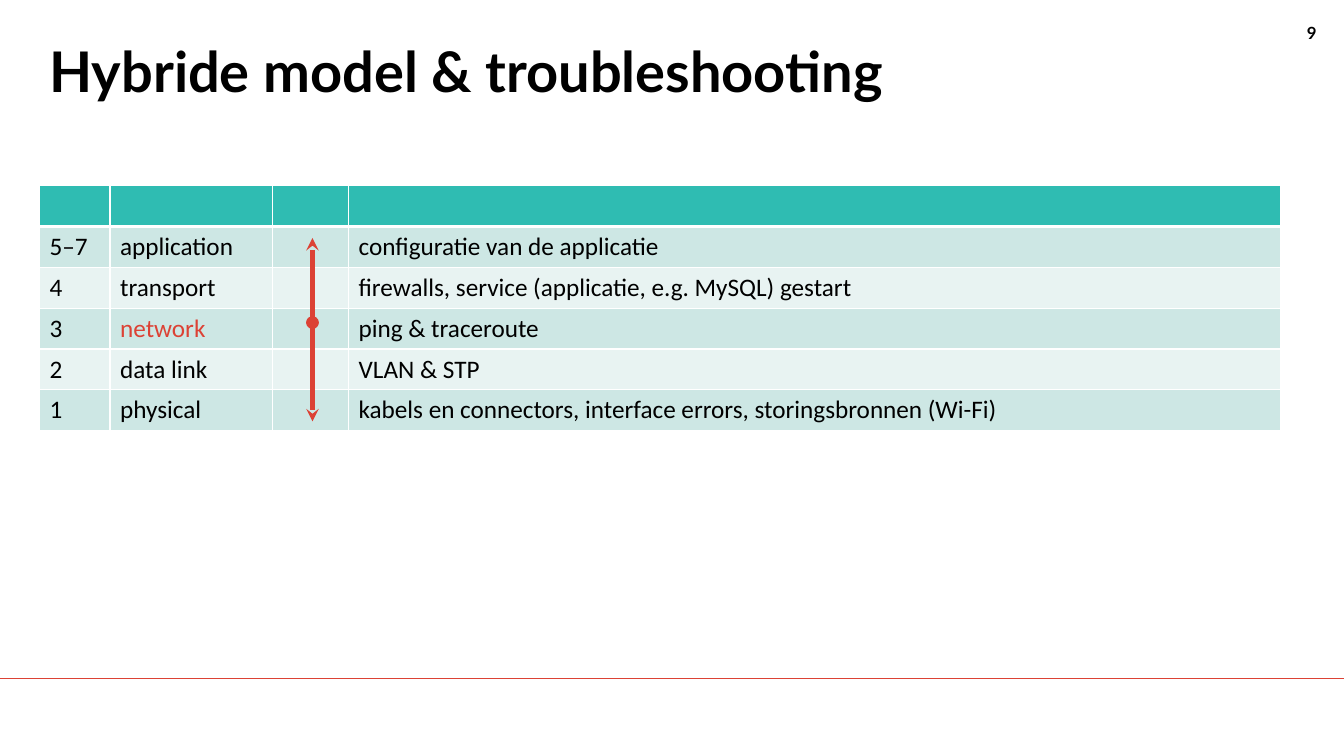
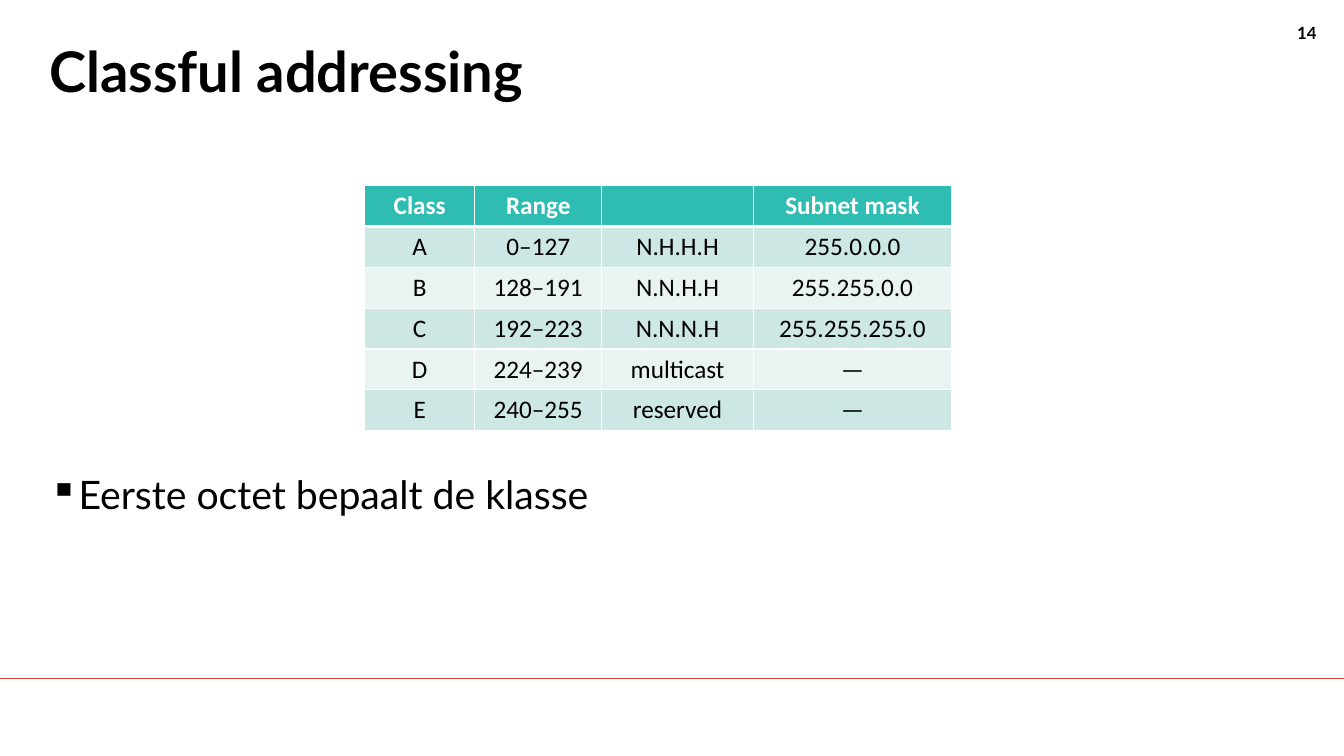
from dataclasses import dataclass

import lxml.etree
import pptx
import pptx.dml.color
import pptx.enum.shapes
import pptx.enum.text
import pptx.oxml.ns
import pptx.slide
import pptx.table
import pptx.text.text
import pptx.util

Pt = pptx.util.Pt
RGB = pptx.dml.color.RGBColor
qn = pptx.oxml.ns.qn
Align = pptx.enum.text.PP_ALIGN


@dataclass(frozen=True)
class Theme:
    black: str = "000000"
    white: str = "FFFFFF"
    red: str = "DC4235"
    teal: str = "2FBCB2"
    bands: tuple[str, str] = ("CDE7E4", "E8F3F2")
    heading_font: str = "Lato"
    table_font: str = "Calibri"
    title_size: float = 40
    bullet_size: float = 28
    table_size: float = 18
    number_size: float = 12


@dataclass(frozen=True)
class TextStyle:
    size: float
    color: str
    font: str = "Lato"
    bold: bool = False


@dataclass(frozen=True)
class Box:
    left: float
    top: float
    width: float
    height: float


@dataclass(frozen=True)
class Grid:
    left: float
    widths: tuple[float, ...]
    rows: tuple[tuple[str, ...], ...]
    align: Align = Align.LEFT
    highlight: str = ""


@dataclass(frozen=True)
class Stroke:
    start: tuple[float, float]
    end: tuple[float, float]
    width: float
    arrow: bool = False


THEME = Theme()
SLIDE_WIDTH, SLIDE_HEIGHT = 960, 540
MARGIN = 28.2
TABLE_TOP = 132.5
ROW_HEIGHT = 29.2
TITLE_BOX = Box(MARGIN, 28.2, 884, 104)
NUMBER_BOX = Box(912, 13, 35.5, 21.6)
BULLET_BOX = Box(MARGIN, 336, 886, 139)
FOOTER_RULE = Stroke((0, 484.6), (SLIDE_WIDTH, 484.6), 0.5)
TITLE_STYLE = TextStyle(THEME.title_size, THEME.black, bold=True)
NUMBER_STYLE = TextStyle(THEME.number_size, THEME.black, bold=True)
BULLET_STYLE = TextStyle(THEME.bullet_size, THEME.black)

LAYERS = Grid(
    MARGIN,
    (50.4, 115.9, 54.5, 665.8),
    (
        ("", "", "", ""),
        ("5–7", "application", "", "configuratie van de applicatie"),
        ("4", "transport", "", "firewalls, service (applicatie, e.g. MySQL) gestart"),
        ("3", "network", "", "ping & traceroute"),
        ("2", "data link", "", "VLAN & STP"),
        ("1", "physical", "",
         "kabels en connectors, interface errors, storingsbronnen (Wi-Fi)"),
    ),
    highlight="network",
)
CLASSES = Grid(
    260.5,
    (78.6, 90.8, 108.2, 141.8),
    (
        ("Class", "Range", "", "Subnet mask"),
        ("A", "0–127", "N.H.H.H", "255.0.0.0"),
        ("B", "128–191", "N.N.H.H", "255.255.0.0"),
        ("C", "192–223", "N.N.N.H", "255.255.255.0"),
        ("D", "224–239", "multicast", "—"),
        ("E", "240–255", "reserved", "—"),
    ),
    align=Align.CENTER,
)
NETWORK_LAYER = (223.2, 230.4)
LAYER_ARROWS = tuple(
    Stroke(NETWORK_LAYER, (NETWORK_LAYER[0], tip), 3, arrow=True) for tip in (170, 301)
)


def add_run(paragraph: pptx.text.text._Paragraph, text: str, style: TextStyle) -> None:
    run = paragraph.add_run()
    run.text = text
    run.font.size = Pt(style.size)
    run.font.name = style.font
    run.font.bold = style.bold
    run.font.color.rgb = RGB.from_string(style.color)


def add_text(slide: pptx.slide.Slide, box: Box, text: str, style: TextStyle,
             align: Align = Align.LEFT, spacing: float = 1.0, bullet: str = "") -> None:
    frame = slide.shapes.add_textbox(
        Pt(box.left), Pt(box.top), Pt(box.width), Pt(box.height)).text_frame
    frame.word_wrap = True
    paragraph = frame.paragraphs[0]
    paragraph.alignment = align
    paragraph.line_spacing = spacing
    if bullet:
        properties = paragraph._p.get_or_add_pPr()
        properties.set("marL", str(Pt(18)))
        properties.set("indent", str(-Pt(18)))
        lxml.etree.SubElement(properties, qn("a:buChar"), char=bullet)
    add_run(paragraph, text, style)


def add_stroke(slide: pptx.slide.Slide, stroke: Stroke) -> None:
    connector = slide.shapes.add_connector(
        pptx.enum.shapes.MSO_CONNECTOR.STRAIGHT,
        *(Pt(value) for value in stroke.start + stroke.end))
    connector.line.color.rgb = RGB.from_string(THEME.red)
    connector.line.width = Pt(stroke.width)
    properties = connector._element.spPr
    if stroke.arrow:
        outline = properties.get_or_add_ln()
        lxml.etree.SubElement(outline, qn("a:headEnd"), type="oval")
        lxml.etree.SubElement(outline, qn("a:tailEnd"), type="stealth")
    lxml.etree.SubElement(properties, qn("a:effectLst"))


def set_borders(cell: pptx.table._Cell, top: float, bottom: float) -> None:
    """Draw white cell borders; call before filling, as the schema orders them first."""
    properties = cell._tc.get_or_add_tcPr()
    for side, width in (("L", 1), ("R", 1), ("T", top), ("B", bottom)):
        border = lxml.etree.SubElement(properties, qn(f"a:ln{side}"), w=str(Pt(width)))
        fill = lxml.etree.SubElement(border, qn("a:solidFill"))
        lxml.etree.SubElement(fill, qn("a:srgbClr"), val=THEME.white)


def add_grid(slide: pptx.slide.Slide, grid: Grid) -> None:
    table = slide.shapes.add_table(
        len(grid.rows), len(grid.widths), Pt(grid.left), Pt(TABLE_TOP),
        Pt(sum(grid.widths)), Pt(ROW_HEIGHT * len(grid.rows))).table
    for column, width in zip(table.columns, grid.widths):
        column.width = Pt(width)
    for row_index, texts in enumerate(grid.rows):
        table.rows[row_index].height = Pt(ROW_HEIGHT)
        header = row_index == 0
        background = THEME.teal if header else THEME.bands[(row_index - 1) % 2]
        for column_index, text in enumerate(texts):
            cell = table.cell(row_index, column_index)
            set_borders(cell, top=3 if row_index == 1 else 1, bottom=3 if header else 1)
            cell.fill.solid()
            cell.fill.fore_color.rgb = RGB.from_string(background)
            if not text:
                continue
            color = THEME.white if header else THEME.black
            if text == grid.highlight:
                color = THEME.red
            paragraph = cell.text_frame.paragraphs[0]
            paragraph.alignment = grid.align
            add_run(paragraph, text,
                    TextStyle(THEME.table_size, color, THEME.table_font, header))


def add_slide(deck: pptx.presentation.Presentation, title: str,
              number: int) -> pptx.slide.Slide:
    """Add a blank slide with the shared rule, page number and title."""
    slide = deck.slides.add_slide(deck.slide_layouts[6])
    add_stroke(slide, FOOTER_RULE)
    add_text(slide, NUMBER_BOX, str(number), NUMBER_STYLE, Align.RIGHT)
    add_text(slide, TITLE_BOX, title, TITLE_STYLE, spacing=0.9)
    return slide


def main() -> None:
    deck = pptx.Presentation()
    deck.slide_width, deck.slide_height = Pt(SLIDE_WIDTH), Pt(SLIDE_HEIGHT)

    troubleshooting = add_slide(deck, "Hybride model & troubleshooting", 9)
    add_grid(troubleshooting, LAYERS)
    for arrow in LAYER_ARROWS:
        add_stroke(troubleshooting, arrow)

    addressing = add_slide(deck, "Classful addressing", 14)
    add_grid(addressing, CLASSES)
    add_text(addressing, BULLET_BOX, "Eerste octet bepaalt de klasse", BULLET_STYLE,
             spacing=0.9, bullet="▪")

    deck.save("out.pptx")


if __name__ == "__main__":
    main()
